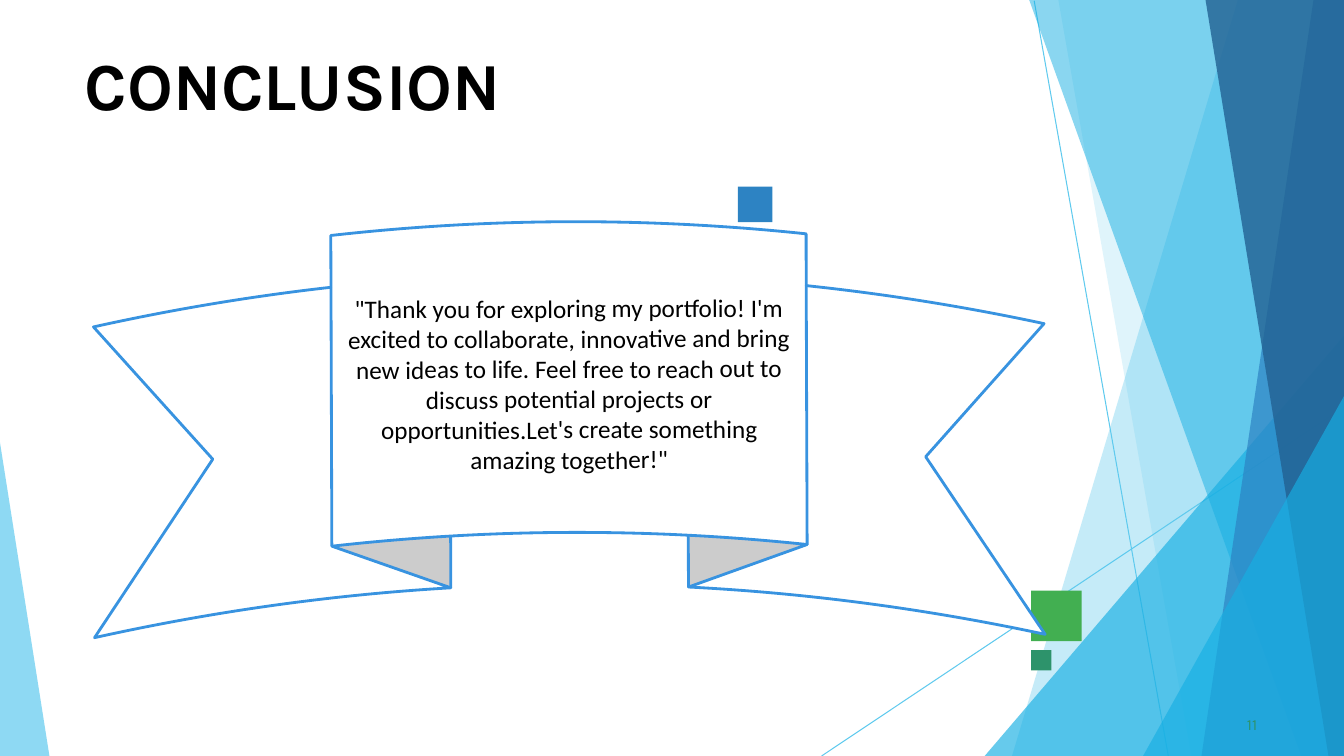
from lxml.etree import SubElement
from pptx import Presentation
from pptx.dml.color import RGBColor
from pptx.enum.shapes import MSO_CONNECTOR, MSO_SHAPE
from pptx.enum.text import MSO_ANCHOR, PP_ALIGN
from pptx.oxml.ns import qn
from pptx.util import Inches, Pt

WIDTH, HEIGHT = Inches(13.333), Inches(7.5)

COLORS = {
    "sky": "5FCAEE",
    "cyan": "17AFE3",
    "blue": "2D83C3",
    "navy": "226192",
    "green": "42AF51",
    "teal": "2D936B",
    "outline": "3893E0",
    "white": "FFFFFF",
    "black": "000000",
}

CLOSING = (
    "\"Thank you for exploring my portfolio! I'm excited to collaborate, "
    "innovative and bring new ideas to life. Feel free to reach out to discuss "
    "potential projects or opportunities.Let's create something amazing together!\""
)


# Positions are percentages of the slide's width and height
def across(percent):
    return round(WIDTH * percent / 100)


def down(percent):
    return round(HEIGHT * percent / 100)


def box(left, top, width, height):
    return across(left), down(top), across(width), down(height)


def rgb(name):
    return RGBColor.from_string(COLORS[name])


def paint(shape, color, opacity=100):
    shape.shadow.inherit = False
    shape.fill.solid()
    shape.fill.fore_color.rgb = rgb(color)
    shape.line.fill.background()
    if opacity < 100:
        tint = shape.fill._xPr.find(qn("a:solidFill"))[0]
        SubElement(tint, qn("a:alpha")).set("val", str(opacity * 1000))


def add_polygon(slide, points, color, opacity):
    corners = [(across(x), down(y)) for x, y in points]
    builder = slide.shapes.build_freeform(*corners[0], scale=1.0)
    builder.add_line_segments(corners[1:], close=True)
    paint(builder.convert_to_shape(), color, opacity)


def add_thin_line(slide, start, end):
    line = slide.shapes.add_connector(
        MSO_CONNECTOR.STRAIGHT,
        across(start[0]), down(start[1]), across(end[0]), down(end[1]))
    line.line.color.rgb = rgb("sky")
    line.line.width = Pt(0.75)
    SubElement(line._element.spPr, qn("a:effectLst"))


def add_square(slide, place, color):
    paint(slide.shapes.add_shape(MSO_SHAPE.RECTANGLE, *box(*place)), color)


def write(shape, text, size, font="Karla", color="black", bold=False,
          align=PP_ALIGN.LEFT, before=0, indent=0, spacing=0):
    shape.text_frame.word_wrap = True
    paragraph = shape.text_frame.paragraphs[0]
    paragraph.alignment = align
    paragraph.space_before = Pt(before)
    paragraph._p.get_or_add_pPr().set("marL", str(Inches(indent)))
    run = paragraph.add_run()
    run.text = text
    run.font.name = font
    run.font.size = Pt(size)
    run.font.bold = bold
    run.font.color.rgb = rgb(color)
    if spacing:
        run._r.get_or_add_rPr().set("spc", str(round(spacing * 100)))


def add_label(slide, place, text, size, **style):
    label = slide.shapes.add_textbox(*box(*place))
    frame = label.text_frame
    frame.margin_left = frame.margin_right = frame.margin_bottom = 0
    frame.margin_top = Inches(0.01)
    write(label, text, size, **style)


def add_ribbon(slide, place, text):
    ribbon = slide.shapes.add_shape(MSO_SHAPE.CURVED_UP_RIBBON, *box(*place))
    paint(ribbon, "white")
    ribbon.line.color.rgb = rgb("outline")
    ribbon.line.width = Pt(2)
    ribbon.rotation = 359.8
    ribbon.text_frame.vertical_anchor = MSO_ANCHOR.MIDDLE
    write(ribbon, text, 18, font="Calibri", align=PP_ALIGN.CENTER)


def add_facets(slide):
    add_thin_line(slide, (76.95, 0.1), (86.93, 100))
    add_thin_line(slide, (100, 53.85), (61.13, 100))

    # Left edge of each facet; the right edge is the slide's own
    facets = [
        ([(92.1, 0), (75.3, 100)], "sky", 36),
        ([(78.75, 0), (88.65, 100)], "sky", 20),
        ([(100, 44.4), (73.27, 100)], "cyan", 66),
        ([(76.58, 0), (96.83, 100)], "cyan", 50),
        ([(97.73, 0), (89.4, 100)], "blue", 70),
        ([(89.7, 0), (98.85, 100)], "navy", 80),
        ([(100, 52.4), (85.05, 100)], "cyan", 66),
    ]
    for (top, bottom), color, opacity in facets:
        corners = [top, bottom, (100, 100)]
        if top[0] < 100:
            corners.append((100, top[1]))
        add_polygon(slide, corners, color, opacity)

    # Wedge at the left edge
    add_polygon(slide, [(0, 58.53), (0, 100), (3.68, 100)], "sky", 70)


def main():
    presentation = Presentation()
    presentation.slide_width, presentation.slide_height = WIDTH, HEIGHT
    slide = presentation.slides.add_slide(presentation.slide_layouts[6])

    # Background facets and small squares
    add_facets(slide)
    add_square(slide, (76.73, 78.13, 3.75, 6.67), "green")
    add_square(slide, (54.9, 24.67, 2.58, 4.73), "blue")
    add_square(slide, (76.73, 86, 1.5, 2.67), "teal")

    # Title, page number and closing message
    add_label(slide, (6.23, 5.6, 37.58, 10.93), "CONCLUSION", 48,
              bold=True, before=1, indent=0.01)
    add_label(slide, (92.48, 94.4, 1.88, 2.8), "11", 11,
              color="teal", before=0.6, indent=0.04, spacing=0.1)
    add_ribbon(slide, (6.98, 29.33, 70.73, 54.8), CLOSING)

    presentation.save("out.pptx")


if __name__ == "__main__":
    main()
